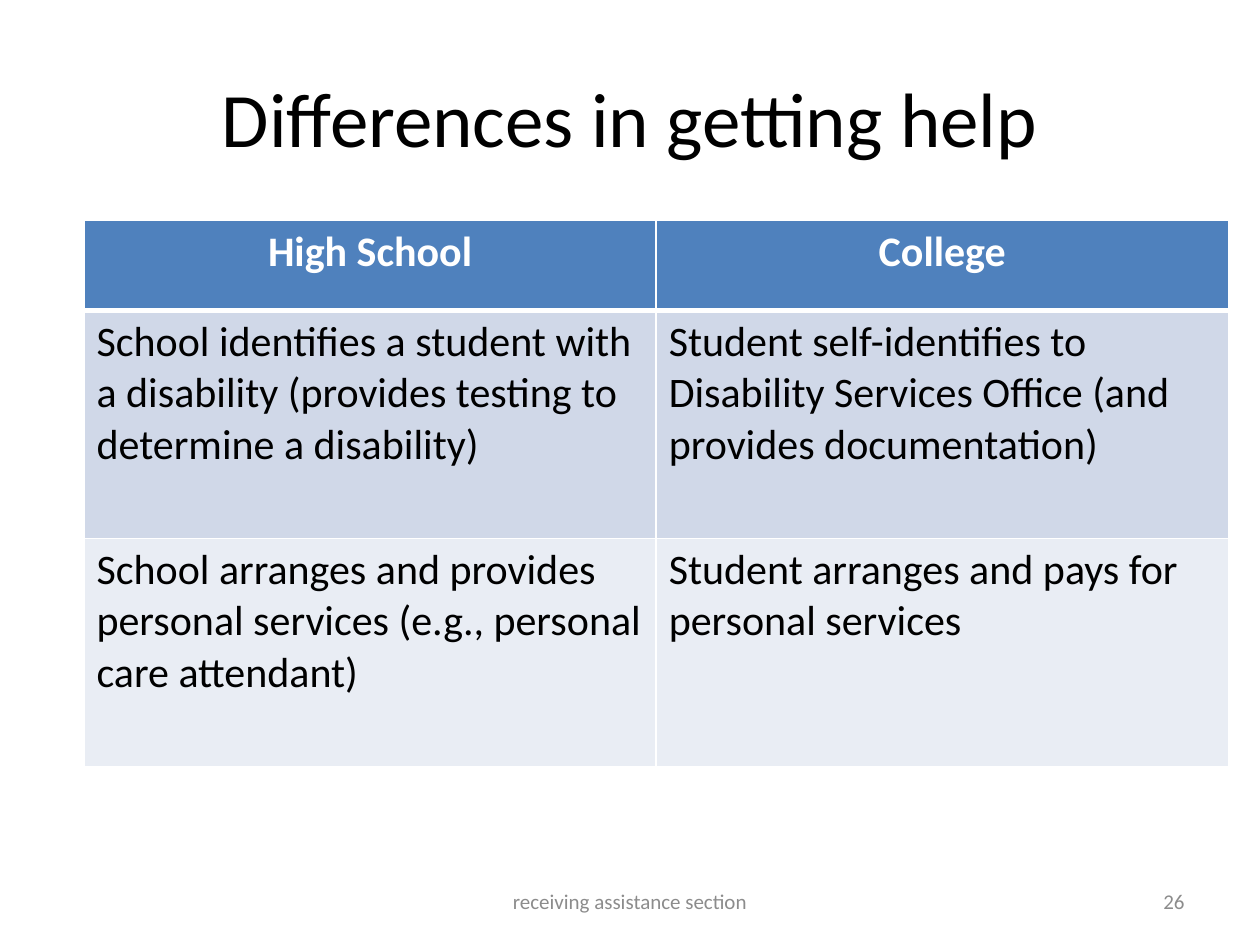
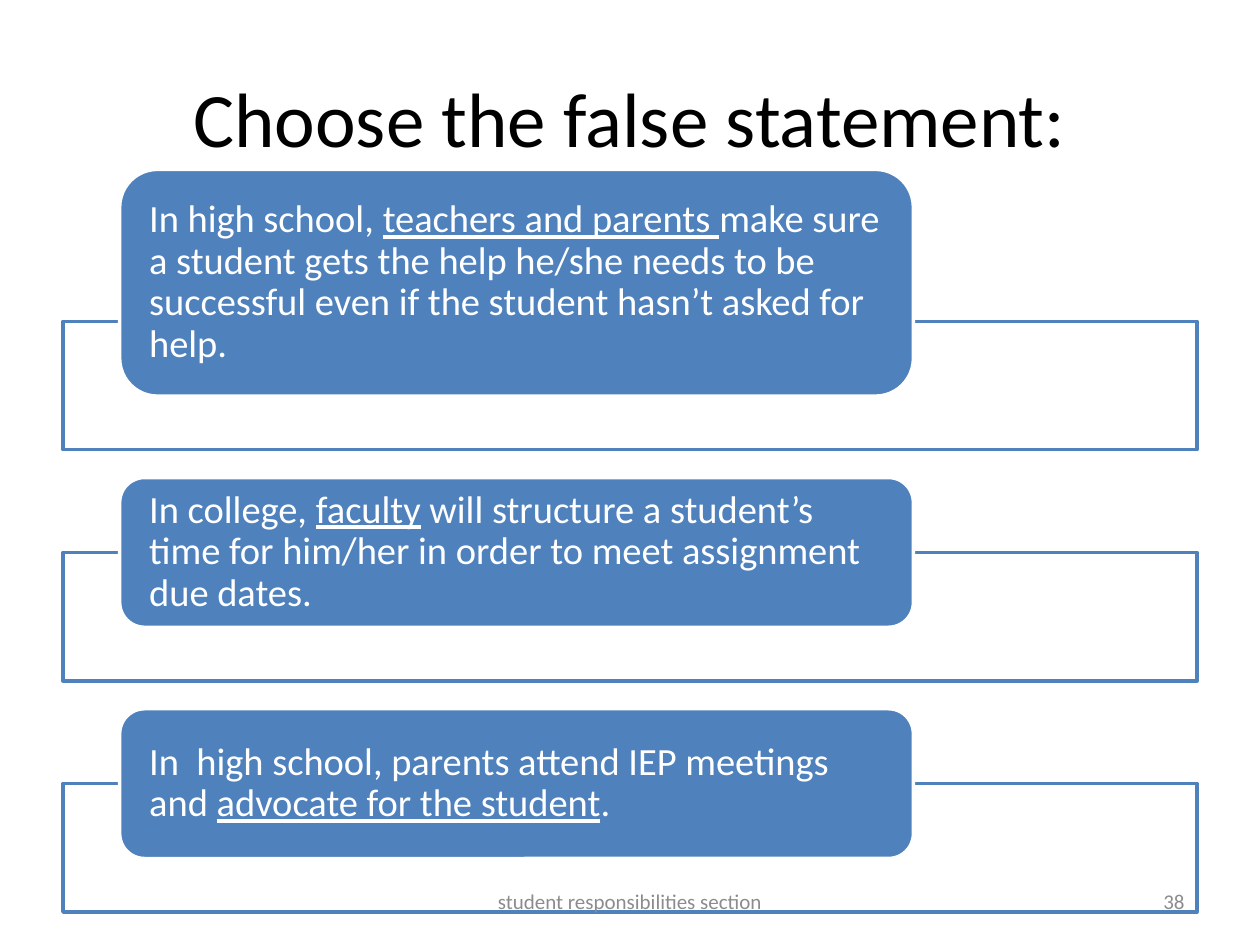
import dataclasses
import typing

import pptx
import pptx.dml.color
import pptx.enum.shapes
import pptx.enum.text
import pptx.oxml.ns
import pptx.util
from lxml import etree

Pt = pptx.util.Pt
Align = pptx.enum.text.PP_ALIGN
Anchor = pptx.enum.text.MSO_ANCHOR
Kind = pptx.enum.shapes.MSO_SHAPE
qn = pptx.oxml.ns.qn


@dataclasses.dataclass(frozen=True)
class Theme:
    font: str = "Calibri"
    black: str = "000000"
    white: str = "FFFFFF"
    blue: str = "4F81BD"
    bands: tuple[str, str] = ("D0D8E8", "E9EDF4")
    gray: str = "8C8C8C"
    title: float = 44
    cell: float = 24
    card: float = 22
    foot: float = 12


@dataclasses.dataclass(frozen=True)
class Box:
    left: float
    top: float
    width: float
    height: float

    def spots(self) -> tuple[int, ...]:
        return tuple(Pt(n) for n in dataclasses.astuple(self))


@dataclasses.dataclass(frozen=True)
class Page:
    title: str
    footer: str
    number: str


@dataclasses.dataclass(frozen=True)
class Card:
    height: float
    before: str
    marked: str
    after: str


THEME = Theme()
TITLE = Box(36, 21.6, 648, 90)
FOOTER = Box(246, 500.4, 228, 28.8)
NUMBER = Box(516, 500.4, 168, 28.8)

HELP = Page("Differences in getting help", "receiving assistance section", "26")
QUIZ = Page("Choose the false statement:", "student responsibilities section", "38")

ROWS = (
    ("High School", "College"),
    ("School identifies a student with a disability (provides testing to determine a disability)",
     "Student self-identifies to Disability Services Office (and provides documentation)"),
    ("School arranges and provides personal services (e.g., personal care attendant)",
     "Student arranges and pays for personal services"),
)
TABLE = Box(48, 126, 654, 312)
HEAD = 51.4

CARDS = (
    Card(129.6, "In high school, ", "teachers and parents ",
         "make sure a student gets the help he/she needs to be successful "
         "even if the student hasn’t asked for help."),
    Card(85.6, "In college, ", "faculty",
         " will structure a student’s time for him/her in order to meet assignment due dates."),
    Card(85.6, "In  high school, parents attend IEP meetings and ",
         "advocate for the student", "."),
)
START = 96.8
PANEL = 73.4
LAP = 42.8
GAP = 15.9
INSET = 17
ROUND = 0.05


def color(code: str) -> typing.Any:
    return pptx.dml.color.RGBColor.from_string(code)


def style(para: typing.Any, size: float, code: str, align: typing.Any, bold: bool = False) -> None:
    para.alignment = align
    for run in para.runs:
        run.font.name = THEME.font
        run.font.size = Pt(size)
        run.font.bold = bold
        run.font.color.rgb = color(code)


def label(slide: typing.Any, box: Box, text: str, align: typing.Any) -> None:
    frame = slide.shapes.add_textbox(*box.spots()).text_frame
    frame.word_wrap = True
    frame.vertical_anchor = Anchor.MIDDLE
    frame.text = text
    style(frame.paragraphs[0], THEME.foot, THEME.gray, align)


def start(deck: typing.Any, page: Page) -> typing.Any:
    slide = deck.slides.add_slide(deck.slide_layouts[5])
    title = slide.shapes.title
    title.left, title.top, title.width, title.height = TITLE.spots()
    title.text_frame.text = page.title
    title.text_frame.vertical_anchor = Anchor.MIDDLE
    style(title.text_frame.paragraphs[0], THEME.title, THEME.black, Align.CENTER)
    return slide


def finish(slide: typing.Any, page: Page) -> None:
    label(slide, NUMBER, page.number, Align.RIGHT)
    label(slide, FOOTER, page.footer, Align.CENTER)


def border(cell: typing.Any, row: int) -> None:
    props = cell._tc.get_or_add_tcPr()
    thick = {"T": 3 if row == 1 else 1, "B": 3 if row == 0 else 1}
    for spot, side in enumerate("LRTB"):
        line = etree.Element(qn(f"a:ln{side}"), w=str(Pt(thick.get(side, 1))))
        fill = etree.SubElement(line, qn("a:solidFill"))
        etree.SubElement(fill, qn("a:srgbClr"), val=THEME.white)
        props.insert(spot, line)


def grid(slide: typing.Any) -> None:
    table = slide.shapes.add_table(len(ROWS), len(ROWS[0]), *TABLE.spots()).table
    for col in table.columns:
        col.width = Pt(TABLE.width / len(ROWS[0]))
    for row, texts in enumerate(ROWS):
        head = row == 0
        table.rows[row].height = Pt(HEAD if head else (TABLE.height - HEAD) / (len(ROWS) - 1))
        for col, text in enumerate(texts):
            cell = table.cell(row, col)
            cell.text_frame.text = text
            style(cell.text_frame.paragraphs[0], THEME.cell,
                  THEME.white if head else THEME.black,
                  Align.CENTER if head else Align.LEFT, head)
            cell.fill.solid()
            cell.fill.fore_color.rgb = color(THEME.blue if head else THEME.bands[row - 1])
            border(cell, row)


def block(slide: typing.Any, kind: typing.Any, box: Box, fill: str, edge: str) -> typing.Any:
    shape = slide.shapes.add_shape(kind, *box.spots())
    shape.shadow.inherit = False
    shape.fill.solid()
    shape.fill.fore_color.rgb = color(fill)
    shape.line.color.rgb = color(edge)
    shape.line.width = Pt(2)
    return shape


def choice(slide: typing.Any, card: Card, top: float) -> float:
    base = top + card.height - LAP
    panel = block(slide, Kind.RECTANGLE, Box(36, base, 648, PANEL), THEME.white, THEME.blue)
    tint = panel.fill._xPr.find(".//" + qn("a:srgbClr"))
    etree.SubElement(tint, qn("a:alpha"), val="90000")
    shape = block(slide, Kind.ROUNDED_RECTANGLE, Box(68.4, top, 453.6, card.height),
                  THEME.blue, THEME.white)
    frame = shape.text_frame
    frame.word_wrap = True
    frame.vertical_anchor = Anchor.MIDDLE
    frame.margin_left = frame.margin_right = Pt(INSET - ROUND * card.height)
    frame.margin_top = frame.margin_bottom = 0
    para = frame.paragraphs[0]
    para.line_spacing = 0.9
    for text in (card.before, card.marked, card.after):
        run = para.add_run()
        run.text = text
        run.font.underline = text == card.marked
    style(para, THEME.card, THEME.white, Align.LEFT)
    return base + PANEL + GAP


def main() -> None:
    deck = pptx.Presentation()
    deck.slide_width, deck.slide_height = Pt(720), Pt(540)

    slide = start(deck, HELP)
    grid(slide)
    finish(slide, HELP)

    slide = start(deck, QUIZ)
    top = START
    for card in CARDS:
        top = choice(slide, card, top)
    finish(slide, QUIZ)

    deck.save("out.pptx")


if __name__ == "__main__":
    main()
